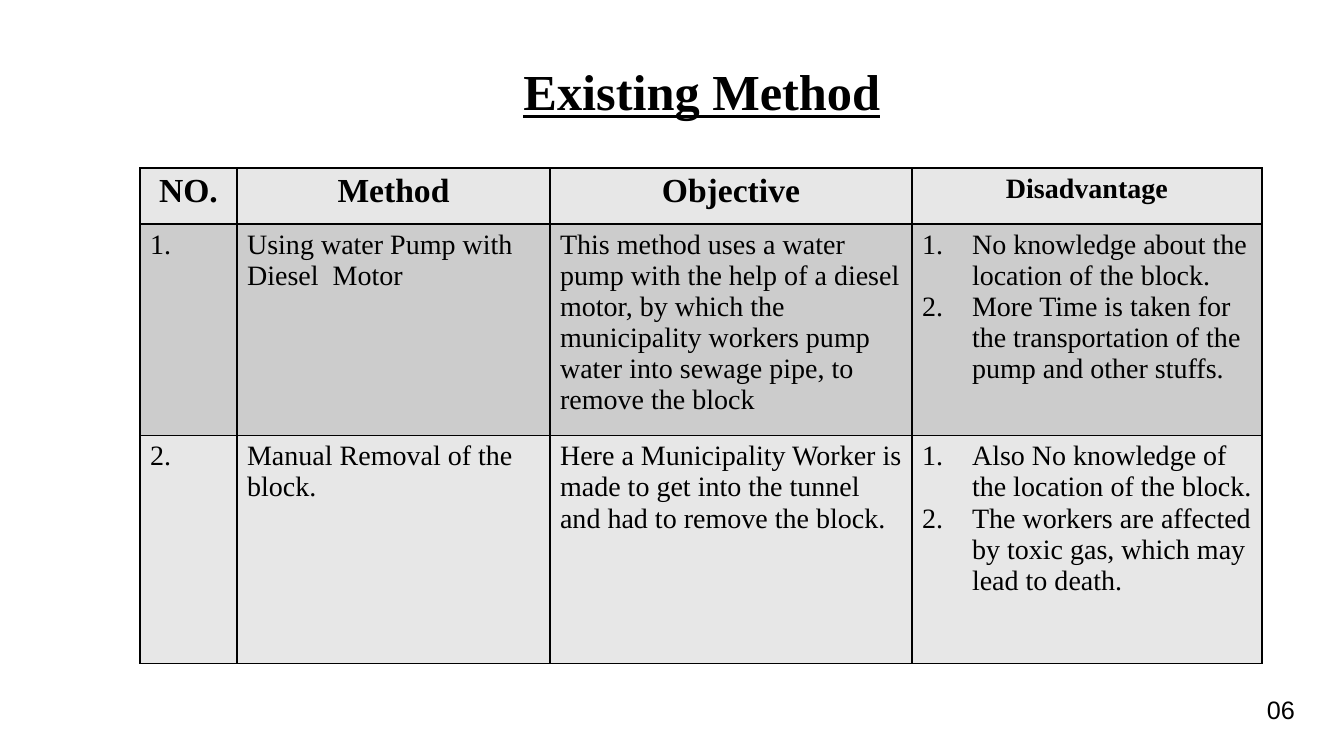
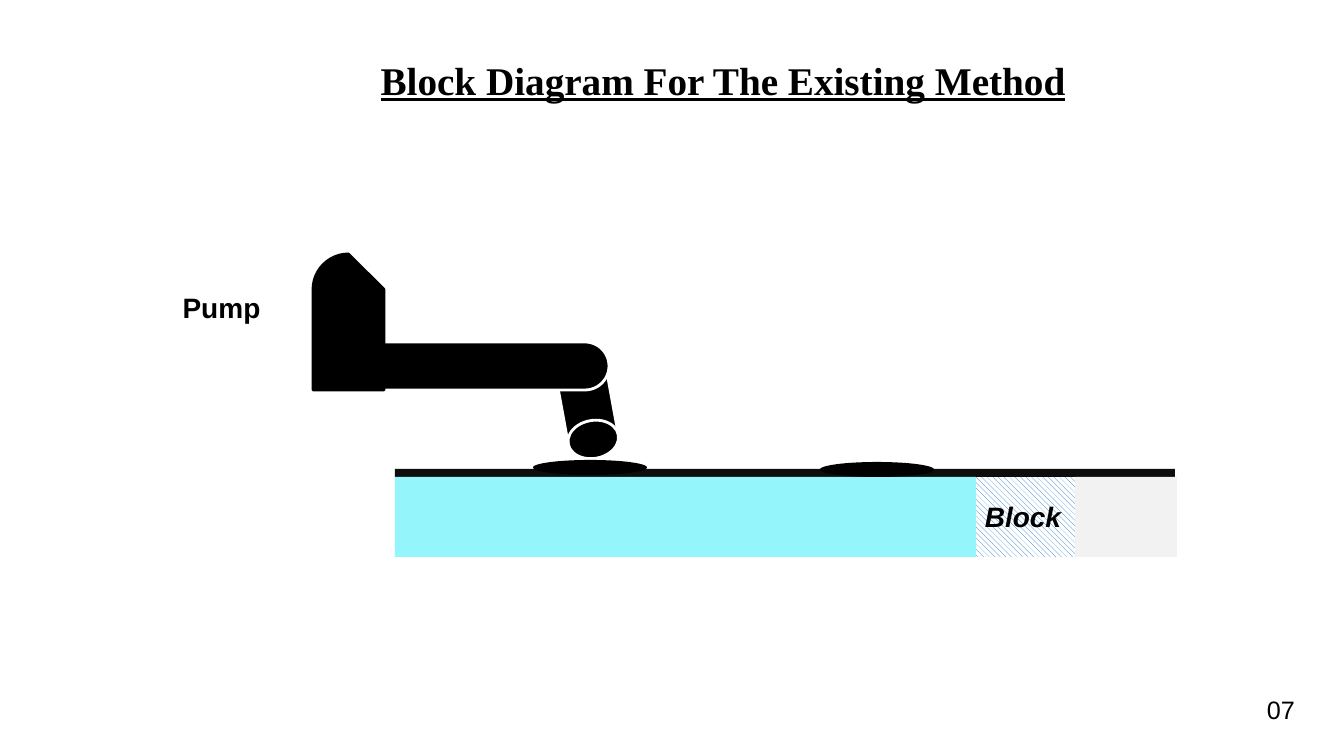
from lxml import etree
from pptx import Presentation
from pptx.dml.color import RGBColor
from pptx.enum.dml import MSO_PATTERN
from pptx.enum.shapes import MSO_SHAPE
from pptx.enum.text import MSO_ANCHOR, PP_ALIGN
from pptx.oxml.ns import qn
from pptx.util import Emu, Pt

RECT, OVAL = MSO_SHAPE.RECTANGLE, MSO_SHAPE.OVAL
ROUND, SNIP = MSO_SHAPE.ROUNDED_RECTANGLE, MSO_SHAPE.SNIP_ROUND_RECTANGLE
DISK = MSO_SHAPE.FLOWCHART_MAGNETIC_DISK
LEFT, CENTER = PP_ALIGN.LEFT, PP_ALIGN.CENTER
TOP, BOTTOM = MSO_ANCHOR.TOP, MSO_ANCHOR.BOTTOM
STRIPES = MSO_PATTERN.WIDE_DOWNWARD_DIAGONAL
PX = 914400 / 100.8


class Theme:
    black = RGBColor.from_string("000000")
    white = RGBColor.from_string("FFFFFF")
    light = RGBColor.from_string("E7E7E7")
    dark = RGBColor.from_string("CCCCCC")
    road = RGBColor.from_string("0D0D0D")
    water = RGBColor.from_string("94F5FA")
    empty = RGBColor.from_string("F2F2F2")
    stripe = RGBColor.from_string("0F6FC6")
    serif, sans = "Times New Roman", "Arial"
    title, subtitle, head, body, page = 36, 28, 24, 20, 18
    border, outline = Pt(1), Pt(2)


def style(para, size, face, bold=False, align=LEFT):
    font = para.font
    font.size, font.name, font.bold = Pt(size), face, bold
    font.color.rgb = Theme.black
    para.alignment = align


def label(slide, text, box, size, face, bold=False, align=LEFT):
    frame = slide.shapes.add_textbox(*[Emu(round(v * PX)) for v in box]).text_frame
    frame.word_wrap = False
    para = frame.paragraphs[0]
    para.text = text
    style(para, size, face, bold, align)
    return frame


deck = Presentation()
deck.slide_width, deck.slide_height = Emu(round(1344 * PX)), Emu(round(756 * PX))

# Titles and page numbers
pages = [
    ("Existing Method", (97, 73, 1210, 48), Theme.title, "06"),
    ("Block Diagram For The Existing Method", (198, 39, 1050, 64), Theme.subtitle, "07"),
]
slides = []
for title, box, size, number in pages:
    slide = deck.slides.add_slide(deck.slide_layouts[6])
    frame = label(slide, title, box, size, Theme.serif, True, CENTER)
    frame.word_wrap = True
    frame.vertical_anchor = BOTTOM
    frame.margin_left = frame.margin_right = frame.margin_bottom = 0
    frame.paragraphs[0].font.underline = True
    label(slide, number, (1257, 689, 48, 40), Theme.page, Theme.sans)
    slides.append(slide)
methods, diagram = slides

# Table of methods; a list makes a numbered cell
rows = [
    ["NO.", "Method", "Objective", "Disadvantage"],
    ["1.", "Using water Pump with Diesel  Motor",
     "This method uses a water pump with the help of a diesel motor, by which the "
     "municipality workers pump water into sewage pipe, to remove the block",
     ["No knowledge about the location of the block.",
      "More Time is taken for the transportation of the pump and other stuffs."]],
    ["2.", "Manual Removal of the block.",
     "Here a Municipality Worker is made to get into the tunnel and had to remove the block.",
     ["Also No knowledge of the location of the block.",
      "The workers are affected by toxic gas, which may lead to death."]],
]
widths, heights = [97, 313, 362, 350], [56, 197, 228]
area = [Emu(round(v * PX)) for v in (140, 168, sum(widths), sum(heights))]
table = methods.shapes.add_table(len(rows), len(widths), *area).table
table.first_row = table.horz_banding = False
for col, width in zip(table.columns, widths):
    col.width = Emu(round(width * PX))
for row, height in zip(table.rows, heights):
    row.height = Emu(round(height * PX))

for r, row in enumerate(rows):
    for c, entry in enumerate(row):
        cell = table.cell(r, c)
        cell.vertical_anchor = TOP
        props = cell._tc.get_or_add_tcPr()
        for side in ("a:lnL", "a:lnR", "a:lnT", "a:lnB"):
            line = etree.SubElement(props, qn(side), w=str(Theme.border))
            fill = etree.SubElement(line, qn("a:solidFill"))
            etree.SubElement(fill, qn("a:srgbClr"), val=str(Theme.black))
        cell.fill.solid()
        cell.fill.fore_color.rgb = Theme.dark if r % 2 else Theme.light
        listed = isinstance(entry, list)
        cell.text = "\n".join(entry) if listed else entry
        size = Theme.head if r == 0 and c < 3 else Theme.body
        for para in cell.text_frame.paragraphs:
            style(para, size, Theme.serif, r == 0, LEFT if r else CENTER)
            if listed:
                indent = para._p.get_or_add_pPr()
                indent.set("marL", str(round(50 * PX)))
                indent.set("indent", str(round(-50 * PX)))
                etree.SubElement(indent, qn("a:buAutoNum"), type="arabicPeriod")

# Sewer and pump: kind, box, fill, outline, corners, turn
parts = [
    (RECT, (976, 477, 99, 80), None, None, [], 0),
    (RECT, (395, 469, 780, 8), Theme.road, None, [], 0),
    (RECT, (395, 477, 581, 80), Theme.water, None, [], 0),
    (RECT, (1075, 477, 102, 80), Theme.empty, None, [], 0),
    (DISK, (561, 345, 51, 114), Theme.black, Theme.white, [], 169.7),
    (OVAL, (533, 460, 114, 15), Theme.black, None, [], 0),
    (ROUND, (333, 342, 258 + 18, 48), Theme.black, Theme.white, [0.5], 0),
    (SNIP, (313, 254, 71, 136), Theme.black, Theme.black, [0.5, 0.5], 0),
    (OVAL, (820, 462, 114, 15), Theme.black, None, [], 0),
]
for kind, box, color, edge, corners, turn in parts:
    part = diagram.shapes.add_shape(kind, *[Emu(round(v * PX)) for v in box])
    part.shadow.inherit = False
    part.rotation = turn
    for i, corner in enumerate(corners):
        part.adjustments[i] = corner
    if color is None:
        part.fill.patterned()
        part.fill.pattern = STRIPES
        part.fill.fore_color.rgb = Theme.stripe
        part.fill.back_color.rgb = Theme.white
    else:
        part.fill.solid()
        part.fill.fore_color.rgb = color
    if edge is None:
        part.line.fill.background()
    else:
        part.line.color.rgb = edge
        part.line.width = Theme.outline

# Diagram labels
block = label(diagram, "Block", (974, 495, 98, 44), Theme.body, Theme.sans, True, CENTER)
block.paragraphs[0].font.italic = True
label(diagram, "Pump", (172, 286, 99, 44), Theme.body, Theme.sans, True, CENTER)

deck.save("out.pptx")
